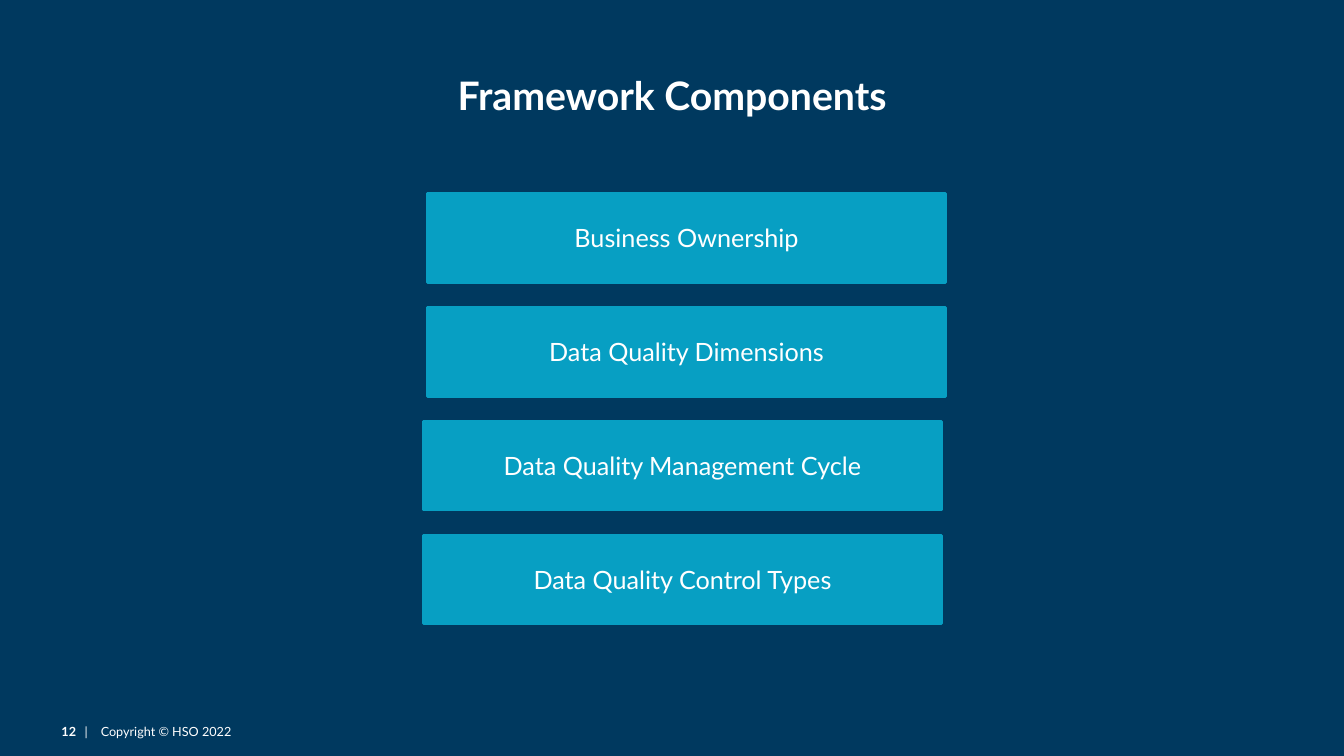
from dataclasses import dataclass

from lxml.etree import SubElement
from pptx import Presentation
from pptx.dml.color import RGBColor
from pptx.enum.shapes import MSO_SHAPE
from pptx.enum.text import MSO_ANCHOR, PP_ALIGN
from pptx.oxml.ns import qn
from pptx.util import Inches, Pt

NAVY, CYAN, WHITE = "00395F", "079FC3", "FFFFFF"
FONT = "Lato"
TOP, PITCH = 1.92, 1.13
WIDTH, HEIGHT = 5.14, 0.88


@dataclass
class Part:
    label: str
    left: float


PARTS = [
    Part("Business Ownership", 4.24),
    Part("Data Quality Dimensions", 4.24),
    Part("Data Quality Management Cycle", 4.2),
    Part("Data Quality Control Types", 4.2),
]


def paint(target, color: str) -> None:
    target.solid()
    target.fore_color.rgb = RGBColor.from_string(color)


def add_run(para, text: str, size: float, bold: bool = False) -> None:
    run = para.add_run()
    run.text = text
    run.font.name = FONT
    run.font.size = Pt(size)
    run.font.bold = bold
    paint(run.font.fill, WHITE)


def set_frame(shape, side: float, edge: float):
    frame = shape.text_frame
    frame.word_wrap = True
    frame.vertical_anchor = MSO_ANCHOR.MIDDLE
    frame.margin_left = frame.margin_right = Inches(side)
    frame.margin_top = frame.margin_bottom = Inches(edge)
    return frame.paragraphs[0]


def add_text(slide, left: float, top: float, width: float, height: float,
             side: float = 0, edge: float = 0):
    box = slide.shapes.add_textbox(
        Inches(left), Inches(top), Inches(width), Inches(height))
    return set_frame(box, side, edge)


def add_part(slide, part: Part, top: float) -> None:
    box = slide.shapes.add_shape(
        MSO_SHAPE.RECTANGLE, Inches(part.left), Inches(top),
        Inches(WIDTH), Inches(HEIGHT))
    box.shadow.inherit = False
    paint(box.fill, CYAN)
    paint(box.line.fill, CYAN)
    box.line.width = Pt(2)
    para = set_frame(box, 0.12, 0.12)
    para.alignment = PP_ALIGN.CENTER
    add_run(para, part.label, 18)


def add_tabs(para, stops: list[float]) -> None:
    tabs = SubElement(para._p.get_or_add_pPr(), qn("a:tabLst"))
    for stop in stops:
        SubElement(tabs, qn("a:tab"), pos=str(Inches(stop)), algn="l")


def main() -> None:
    deck = Presentation()
    deck.slide_width, deck.slide_height = Inches(13.33), Inches(7.5)
    slide = deck.slides.add_slide(deck.slide_layouts[6])
    paint(slide.background.fill, NAVY)

    # Title
    title = add_text(slide, 0.61, 0.67, 12.11, 0.55, 0.1, 0.04)
    title.alignment = PP_ALIGN.CENTER
    add_run(title, "Framework Components", 28, True)

    # Stack of components
    for row, part in enumerate(PARTS):
        add_part(slide, part, TOP + row * PITCH)

    # Footer
    footer = add_text(slide, 0.61, 7.18, 1.84, 0.15)
    add_tabs(footer, [0.23, 0.39])
    add_run(footer, "12", 9, True)
    add_run(footer, "\t|\tCopyright © HSO 2022", 9)

    deck.save("out.pptx")


if __name__ == "__main__":
    main()
